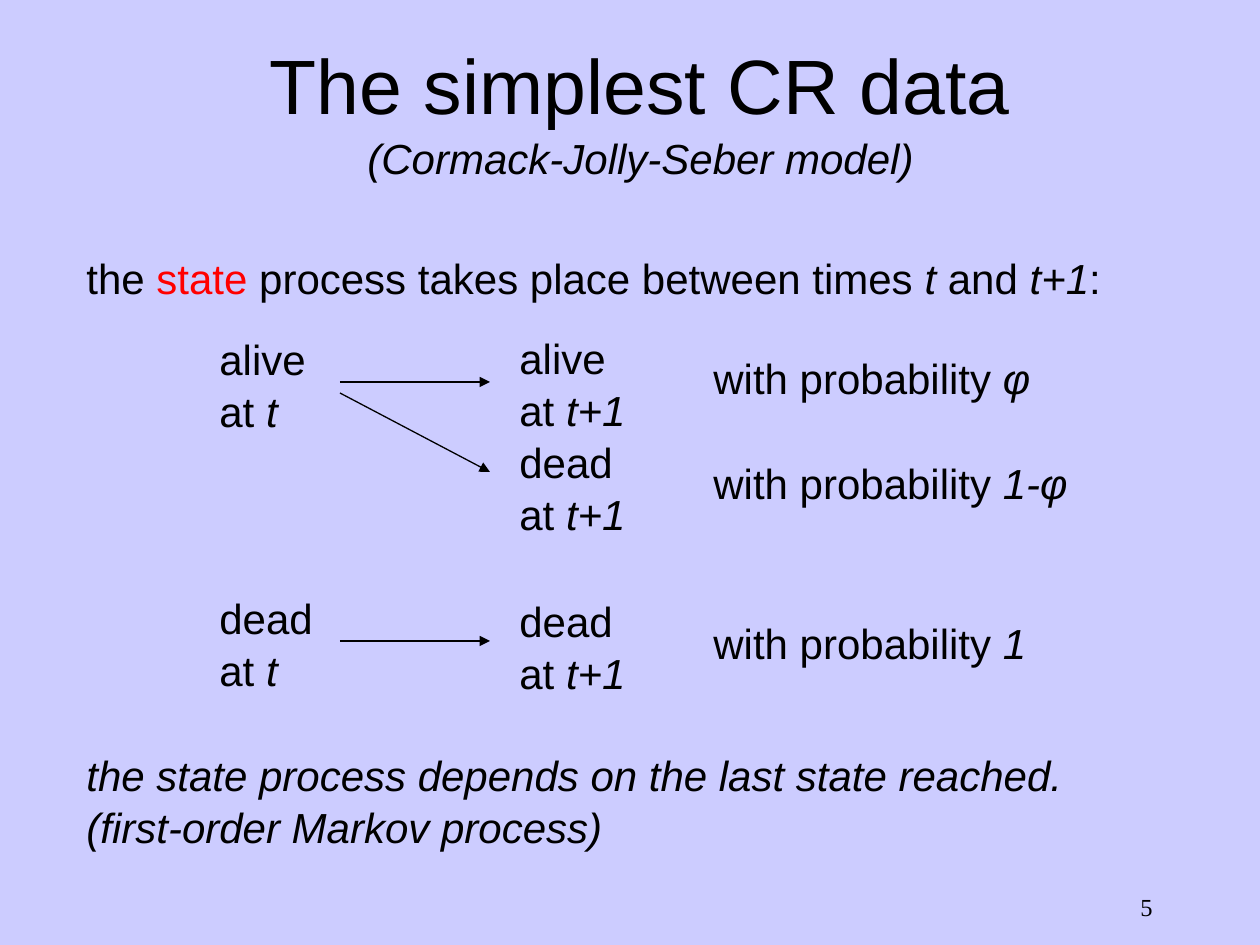
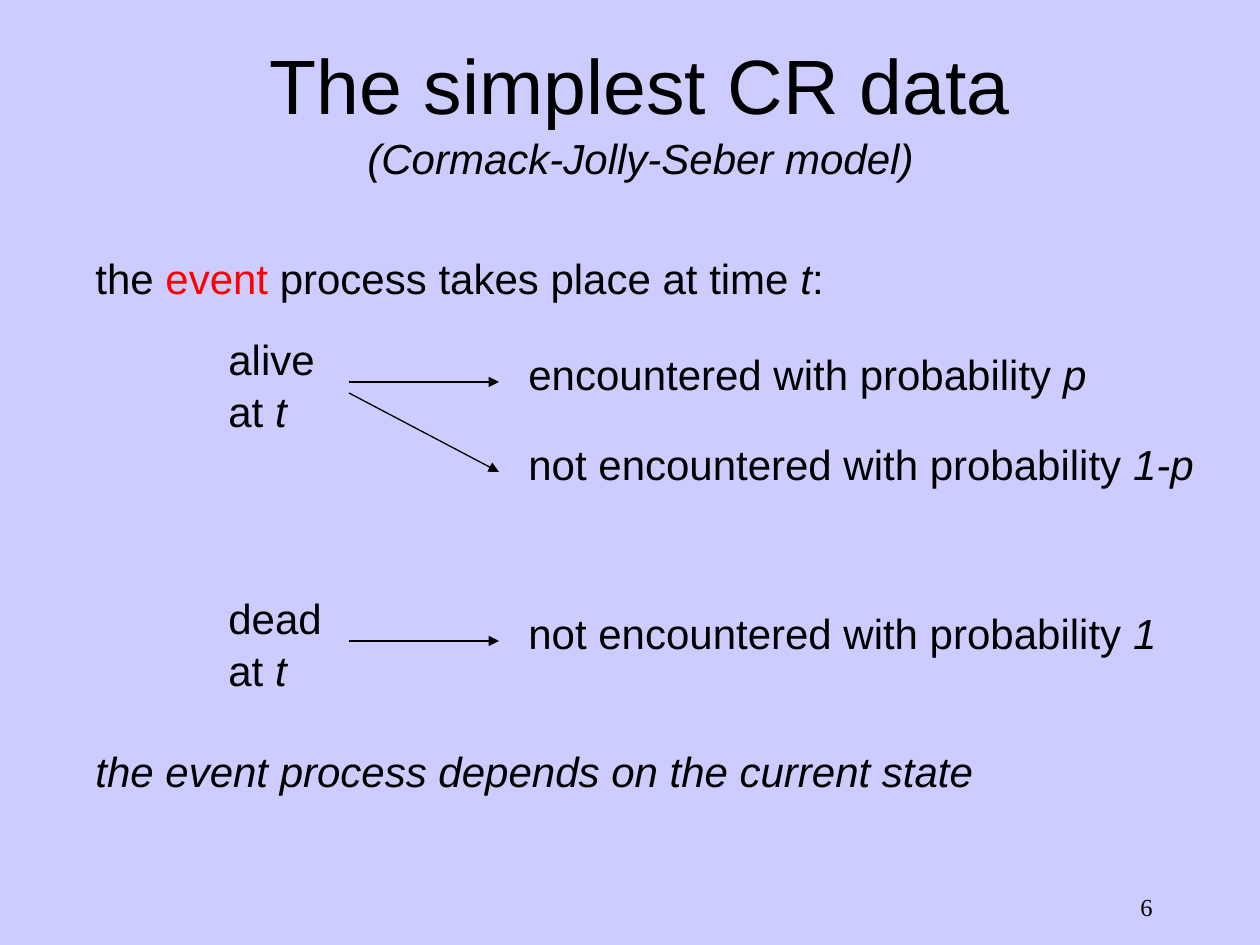
from dataclasses import dataclass

from lxml.etree import SubElement
from pptx import Presentation
from pptx.dml.color import RGBColor
from pptx.enum.shapes import MSO_CONNECTOR as Connector
from pptx.enum.text import MSO_ANCHOR as Anchor, PP_ALIGN as Align
from pptx.oxml.ns import qn
from pptx.util import Emu, Pt

COLOURS = {"background": "CCCCFF", "ink": "000000", "highlight": "FF0000"}
EMU_PER_PX = 914400 / 126
PAGE_WIDTH, PAGE_HEIGHT = 1260, 945
BODY_SIZE = 24
LINE_HEIGHT = 63
STATE_WIDTH, STATE_HEIGHT = 133, 114
STATE_INDENT, OUTCOME_INDENT = 133, 433
ARROW_LENGTH = 150
ALIVE_TOP, DEAD_TOP = 325, 584


@dataclass(frozen=True)
class Span:
    text: str
    italic: bool = False
    colour: str = "ink"
    size: int = BODY_SIZE


@dataclass(frozen=True)
class Box:
    left: int
    top: int
    width: int
    height: int = LINE_HEIGHT


@dataclass(frozen=True)
class Label:
    box: Box
    text: str
    symbol: str


@dataclass(frozen=True)
class Process:
    number: int
    left: int
    intro: list[Span]
    labels: list[Label]
    closing: list[str]
    closing_box: Box


def px(length: float) -> Emu:
    return Emu(round(length * EMU_PER_PX))


def colour(name: str) -> RGBColor:
    return RGBColor.from_string(COLOURS[name])


def add_text(page, box: Box, lines: list[list[Span]], *, font="Arial",
             align=Align.LEFT, anchor=Anchor.TOP, spacing=1.04):
    shape = page.shapes.add_textbox(px(box.left), px(box.top), px(box.width), px(box.height))
    frame = shape.text_frame
    frame.word_wrap = True
    frame.vertical_anchor = anchor
    para = frame.paragraphs[0]
    para.alignment = align
    para.line_spacing = spacing
    for index, line in enumerate(lines):
        if index:
            para.add_line_break()
        for span in line:
            run = para.add_run()
            run.text = span.text
            run.font.name = font
            run.font.size = Pt(span.size)
            run.font.italic = span.italic
            run.font.color.rgb = colour(span.colour)
    return shape


def add_arrow(page, left: int, start: int, end: int, source=None) -> None:
    arrow = page.shapes.add_connector(
        Connector.STRAIGHT, px(left), px(start), px(left + ARROW_LENGTH), px(end))
    if source is not None:
        arrow.begin_connect(source, 3)
    arrow.line.color.rgb = colour("ink")
    arrow.line.width = Pt(0.75)
    SubElement(arrow.line._get_or_add_ln(), qn("a:tailEnd"), type="triangle")
    SubElement(arrow._element.spPr, qn("a:effectLst"))


def add_states(page, left: int) -> None:
    state_left = left + STATE_INDENT
    arrow_left = state_left + STATE_WIDTH
    for name, top in (("alive", ALIVE_TOP), ("dead", DEAD_TOP)):
        box = Box(state_left, top, STATE_WIDTH, STATE_HEIGHT)
        state = add_text(page, box, [[Span(f"{name} at "), Span("t", italic=True)]])
        middle = top + STATE_HEIGHT // 2
        add_arrow(page, arrow_left, middle, middle, state)
    add_arrow(page, arrow_left, 393, 472)


def add_process(deck, process: Process) -> None:
    page = deck.slides.add_slide(deck.slide_layouts[6])
    add_text(page, Box(903, 886, 262), [[Span(str(process.number), size=14)]],
             font="Times New Roman", align=Align.RIGHT, spacing=1.0)
    add_text(page, Box(105, 62, 1071, 93),
             [[Span("The simplest CR data", size=44)],
              [Span("(Cormack-Jolly-Seber model)", italic=True)]],
             align=Align.CENTER, anchor=Anchor.MIDDLE)
    add_text(page, Box(process.left, 244, 1050), [process.intro])
    add_states(page, process.left)
    for label in process.labels:
        add_text(page, label.box, [[Span(label.text), Span(label.symbol, italic=True)]])
    add_text(page, process.closing_box,
             [[Span(line, italic=True)] for line in process.closing])


def state_process() -> Process:
    left = 74
    labels = []
    for name, top, chance_top, chance in (
            ("alive", 324, 344, "φ"), ("dead", 428, 449, "1-φ"), ("dead", 587, 609, "1")):
        outcome_box = Box(left + OUTCOME_INDENT, top, STATE_WIDTH, STATE_HEIGHT)
        labels.append(Label(outcome_box, f"{name} at ", "t+1"))
        labels.append(Label(Box(701, chance_top, 397), "with probability ", chance))
    return Process(
        5, left,
        [Span("the "), Span("state", colour="highlight"),
         Span(" process takes place between times "), Span("t", italic=True),
         Span(" and "), Span("t+1", italic=True), Span(":")],
        labels,
        ["the state process depends on the last state reached.",
         "(first-order Markov process)"],
        Box(left, 741, 1091, STATE_HEIGHT))


def event_process() -> Process:
    left = 83
    labels = [
        Label(Box(left + OUTCOME_INDENT, top, width), f"{event} with probability ", chance)
        for event, top, width, chance in (
            ("encountered", 340, 611, "p"),
            ("not encountered", 430, 701, "1-p"),
            ("not encountered", 599, 670, "1"))]
    return Process(
        6, left,
        [Span("the "), Span("event", colour="highlight"),
         Span(" process takes place at time "), Span("t", italic=True), Span(":")],
        labels,
        ["the event process depends on the current state"],
        Box(left, 737, 1050))


def main() -> None:
    deck = Presentation()
    deck.slide_width, deck.slide_height = px(PAGE_WIDTH), px(PAGE_HEIGHT)
    fill = deck.slide_master.background.fill
    fill.solid()
    fill.fore_color.rgb = colour("background")
    for process in (state_process(), event_process()):
        add_process(deck, process)
    deck.save("out.pptx")


if __name__ == "__main__":
    main()
